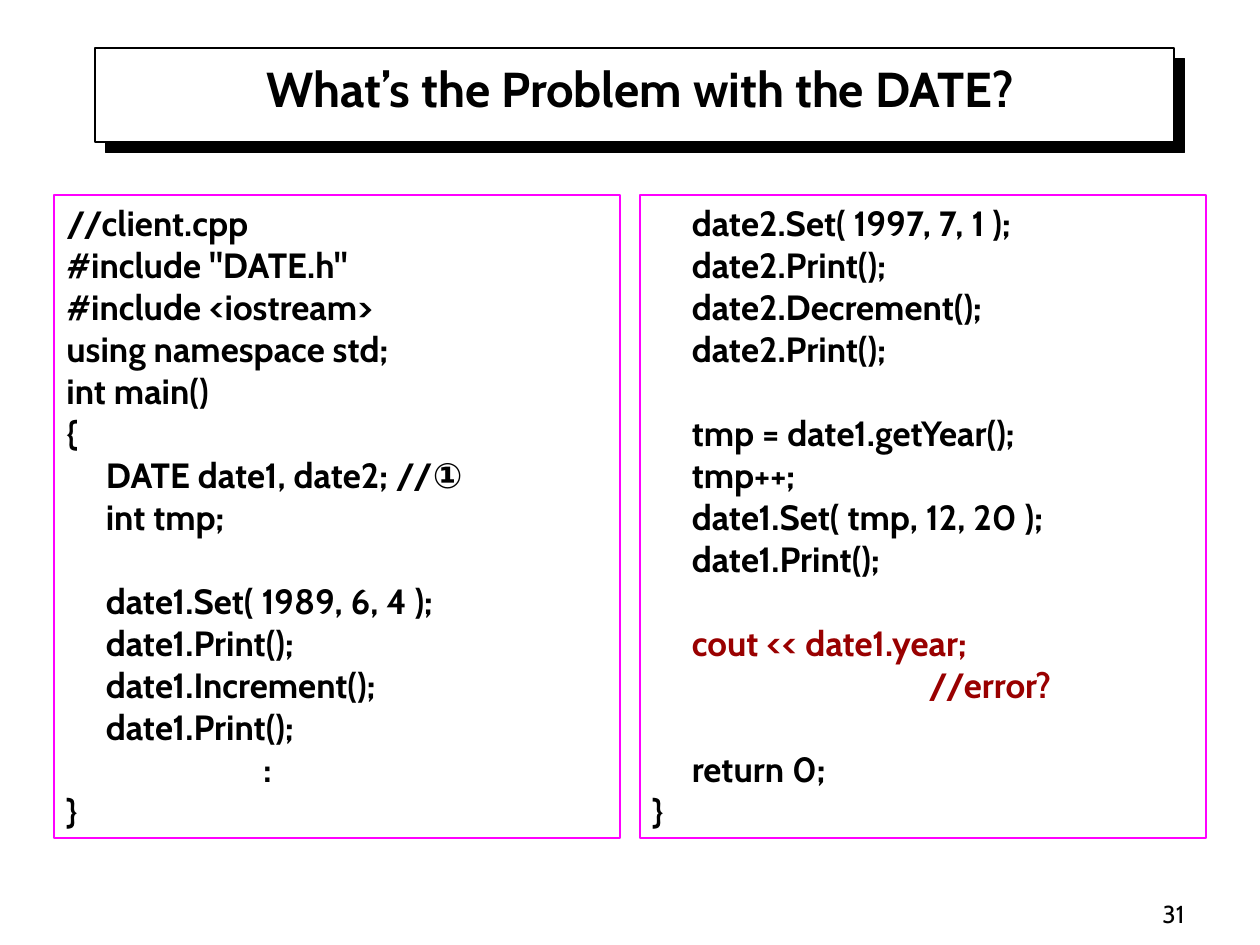
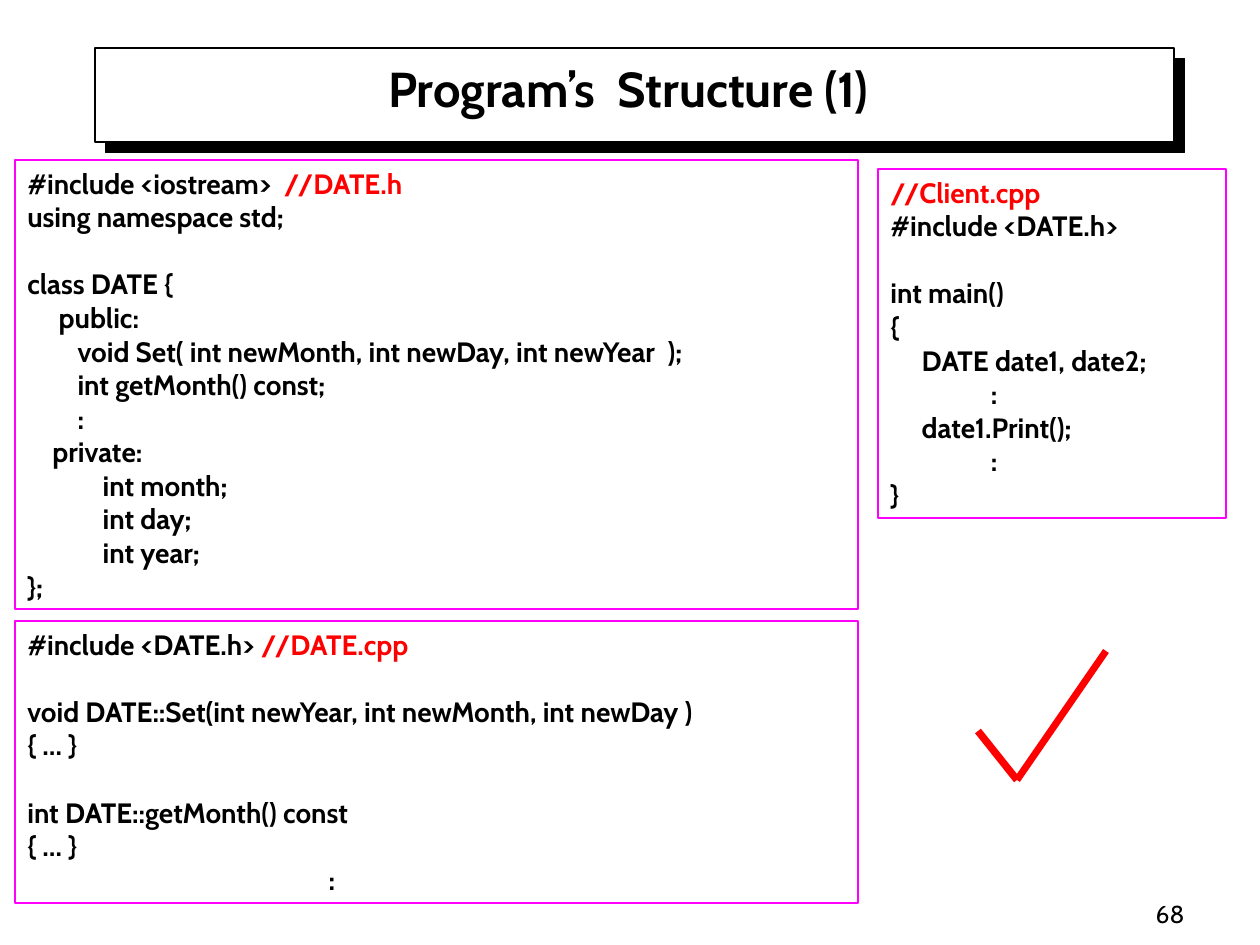
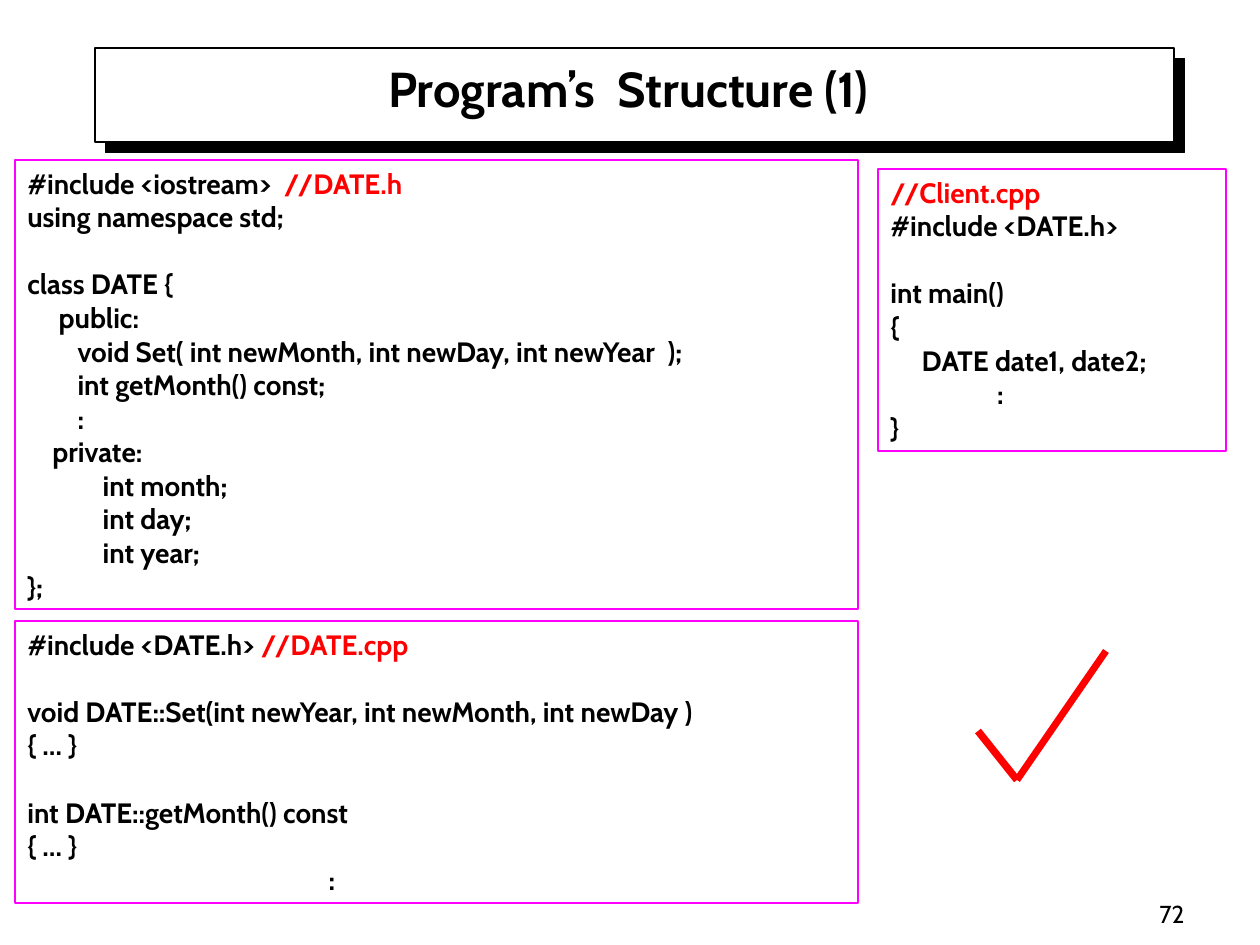
import pptx
import pptx.util
import pptx.dml.color
import pptx.enum.shapes
import pptx.enum.text
from pptx.oxml import parse_xml
from pptx.oxml.ns import nsdecls

PX = 914400 / 126
FONT = "Cabin"
LINE_HEIGHT = 1.2
COLORS = {
    "text": "000000",
    "paper": "FFFFFF",
    "frame": "FF00FF",
    "red": "FF0000",
    "dark_red": "990000",
}
ALIGN = pptx.enum.text.PP_ALIGN
ANCHOR = pptx.enum.text.MSO_ANCHOR

CLIENT_START = """//client.cpp
#include "DATE.h"
#include <iostream>
using namespace std;
int main()
{
     DATE date1, date2; //①
     int tmp;

     date1.Set( 1989, 6, 4 );
     date1.Print();
     date1.Increment();
     date1.Print();
                         :
}"""

CLIENT_END = """     date2.Set( 1997, 7, 1 );
     date2.Print();
     date2.Decrement();
     date2.Print();

     tmp = date1.getYear();
     tmp++;
     date1.Set( tmp, 12, 20 );
     date1.Print();

     |cout << date1.year;
                                   |//error?

     return 0;
}"""

HEADER_FILE = """#include <iostream>  |//DATE.h
using namespace std;

class DATE {
     public:
        void Set( int newMonth, int newDay, int newYear  );
        int getMonth() const;
        :
    private:
            int month;
            int day;
            int year;
};"""

SOURCE_FILE = """#include <DATE.h> |//DATE.cpp

void DATE::Set(int newYear, int newMonth, int newDay )
{ … }

int DATE::getMonth() const
{ … }
                                                :"""

CLIENT_TOP = """|//Client.cpp
#include <DATE.h>

int main()
{
     DATE date1, date2;
"""

CLIENT_WITH_PRINT = CLIENT_TOP + """                :
     date1.Print();
                :
}"""

CLIENT_SHORT = CLIENT_TOP + """                 :
}"""


def px(*values):
    return [pptx.util.Emu(round(v * PX)) for v in values]


def rgb(name):
    return pptx.dml.color.RGBColor.from_string(COLORS[name])


def write(sp, text, size, bold=True, align=ALIGN.LEFT, anchor=ANCHOR.TOP, accent="red"):
    tf = sp.text_frame
    tf.word_wrap = True
    tf.vertical_anchor = anchor
    p = tf.paragraphs[0]
    gap = 0
    for i, line in enumerate(text.split("\n")):
        if not line:
            gap += size * LINE_HEIGHT
            continue
        if i:
            p = tf.add_paragraph()
        p.alignment = align
        if gap:
            p.space_before = pptx.util.Pt(gap)
            gap = 0
        for part, color in zip(line.split("|"), ("text", accent)):
            if part:
                r = p.add_run()
                r.text = part
                r.font.name = FONT
                r.font.size = pptx.util.Pt(size)
                r.font.bold = bold
                r.font.color.rgb = rgb(color)


def rectangle(s, box, line, fill=None):
    sp = s.shapes.add_shape(pptx.enum.shapes.MSO_SHAPE.RECTANGLE, *px(*box))
    sp.shadow.inherit = False
    if fill:
        sp.fill.solid()
        sp.fill.fore_color.rgb = rgb(fill)
    else:
        sp.fill.background()
    sp.line.color.rgb = rgb(line)
    sp.line.width = pptx.util.Pt(0.75)
    return sp


def title_band(s, box, title, shift):
    x, y, w, h = box
    sp = rectangle(s, box, "text", "paper")
    effects = sp._element.spPr.find(pptx.oxml.ns.qn("a:effectLst"))
    effects.append(parse_xml(
        f'<a:outerShdw {nsdecls("a")} dist="107950" dir="2700000" algn="ctr" rotWithShape="0">'
        f'<a:srgbClr val="{COLORS["text"]}"/></a:outerShdw>'))
    tb = s.shapes.add_textbox(*px(x + 10, y + 7, w - 8, 69))
    write(tb, title, 28, align=ALIGN.CENTER, anchor=ANCHOR.BOTTOM)
    tb.text_frame.margin_right += px(2 * shift)[0]


def page_number(s, box, number):
    tb = s.shapes.add_textbox(*px(*box))
    write(tb, str(number), 14, bold=False, align=ALIGN.RIGHT, anchor=ANCHOR.BOTTOM)


def code_box(s, box, code, size, accent="red"):
    write(rectangle(s, box, "frame"), code, size, accent=accent)


def check_mark(s, box):
    x, y, w, h = box
    left, bottom, tip = (x, y + 80), (x + 39, y + h), (x + w, y)
    group = s.shapes.add_group_shape()
    for start, end, width in ((left, bottom, 4.25), (bottom, tip, 4)):
        c = group.shapes.add_connector(
            pptx.enum.shapes.MSO_CONNECTOR.STRAIGHT, *px(*start, *end))
        c.line.color.rgb = rgb("red")
        c.line.width = pptx.util.Pt(width)
        c._element.spPr.append(parse_xml(f'<a:effectLst {nsdecls("a")}/>'))


def base_slide(prs, title, number, shift=0):
    s = prs.slides.add_slide(prs.slide_layouts[6])
    title_band(s, (95, 48, 1079, 94), title, shift)
    page_number(s, (935, 872, 262, 63), number)
    return s


def problem_slide(prs, number):
    s = base_slide(prs, "What’s the Problem with the DATE?", number)
    for i, code in enumerate((CLIENT_START, CLIENT_END)):
        code_box(s, (54 + 586 * i, 195, 566, 643), code, 20, "dark_red")


def structure_slide(prs, number, client, client_height):
    s = base_slide(prs, "Program’s  Structure (1)", number, shift=12)
    check_mark(s, (978, 651, 128, 129))
    code_box(s, (15, 160, 843, 449), HEADER_FILE, 16)
    code_box(s, (15, 621, 843, 282), SOURCE_FILE, 16)
    code_box(s, (878, 169, 348, client_height), client, 16)


def main():
    prs = pptx.Presentation()
    prs.slide_width, prs.slide_height = px(1260, 945)
    problem_slide(prs, 31)
    structure_slide(prs, 68, CLIENT_WITH_PRINT, 349)
    structure_slide(prs, 72, CLIENT_SHORT, 282)
    prs.save("out.pptx")


if __name__ == "__main__":
    main()
